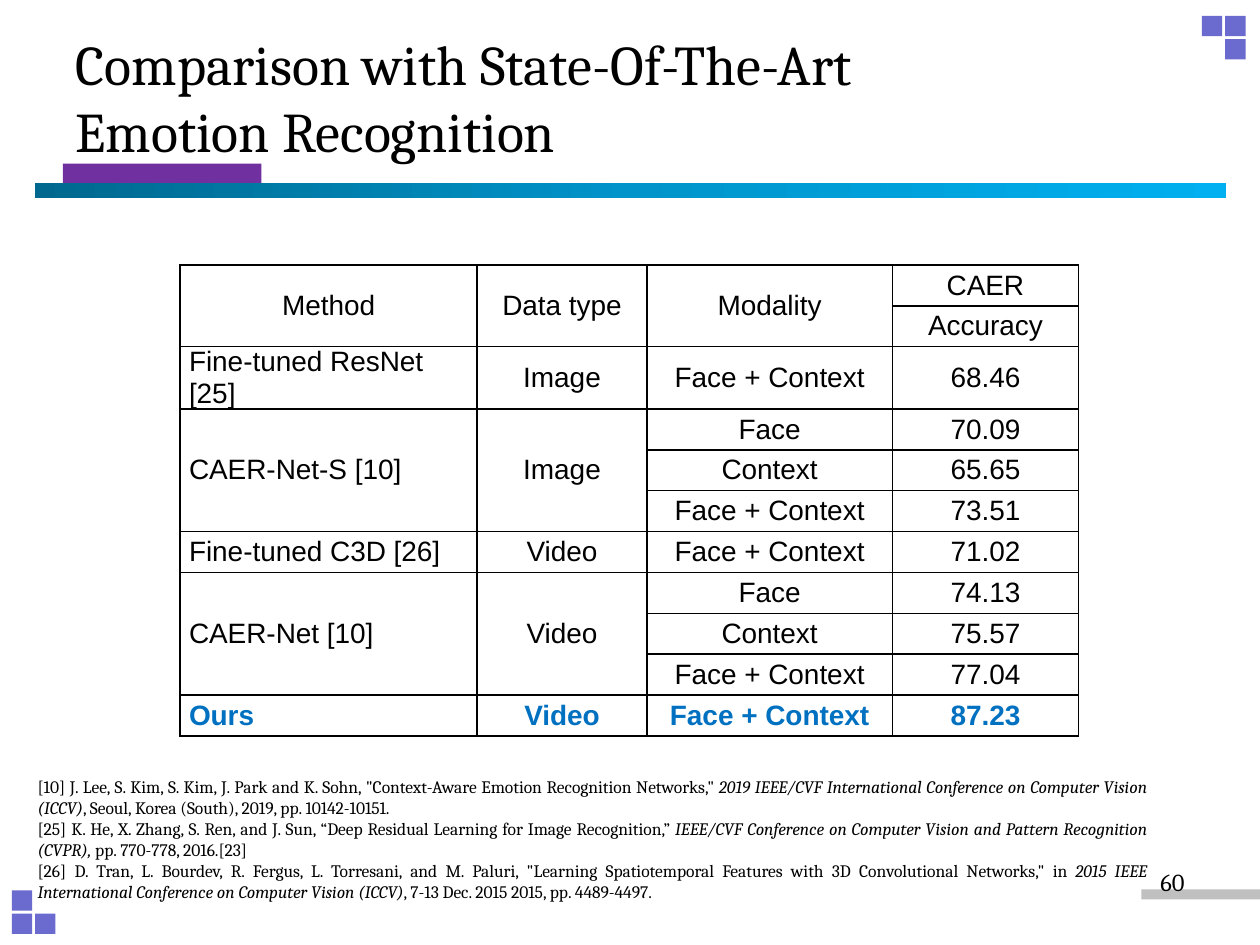
from copy import deepcopy

from pptx import Presentation
from pptx.dml.color import RGBColor
from pptx.enum.shapes import MSO_SHAPE
from pptx.enum.text import MSO_ANCHOR, MSO_AUTO_SIZE, PP_ALIGN
from pptx.oxml import parse_xml
from pptx.oxml.ns import nsdecls, qn
from pptx.util import Cm, Pt

BLACK = RGBColor(0x00, 0x00, 0x00)
HIGHLIGHT = RGBColor(0x00, 0x70, 0xC0)
PURPLE = RGBColor(0x70, 0x30, 0xA0)
VIOLET = RGBColor(0x6B, 0x6B, 0xCF)
GRAY = RGBColor(0xC0, 0xC0, 0xC0)
BAR_COLORS = [RGBColor(0x00, 0x68, 0x8E), RGBColor(0x00, 0x94, 0xCA), RGBColor(0x00, 0xB0, 0xF0)]

TITLE_LINES = ["Comparison with State-Of-The-Art", "Emotion Recognition"]
PAGE_NUMBER = "60"

COLUMN_WIDTHS = [5.99, 3.42, 4.95, 3.75]
TABLE_HEIGHT = 9.07
# None continues the cell above
ROWS = [
    ("Method", "Data type", "Modality", "CAER"),
    (None, None, None, "Accuracy"),
    ("Fine-tuned ResNet [25]", "Image", "Face + Context", "68.46"),
    ("CAER-Net-S [10]", "Image", "Face", "70.09"),
    (None, None, "Context", "65.65"),
    (None, None, "Face + Context", "73.51"),
    ("Fine-tuned C3D [26]", "Video", "Face + Context", "71.02"),
    ("CAER-Net [10]", "Video", "Face", "74.13"),
    (None, None, "Context", "75.57"),
    (None, None, "Face + Context", "77.04"),
    ("Ours", "Video", "Face + Context", "87.23"),
]

# Before the venue, the venue in italics, after the venue
REFERENCES = [
    ('[10] J. Lee, S. Kim, S. Kim, J. Park and K. Sohn, "Context-Aware Emotion Recognition Networks," ',
     "2019 IEEE/CVF International Conference on Computer Vision (ICCV)",
     ", Seoul, Korea (South), 2019, pp. 10142-10151."),
    ("[25] K. He, X. Zhang, S. Ren, and J. Sun, “Deep Residual Learning for Image Recognition,” ",
     "IEEE/CVF Conference on Computer Vision and Pattern Recognition (CVPR), ",
     "pp. 770-778, 2016.[23]"),
    ("[26] D. Tran, L. Bourdev, R. Fergus, L. Torresani, and M. Paluri, "
     '"Learning Spatiotemporal Features with 3D Convolutional Networks," in ',
     "2015 IEEE International Conference on Computer Vision (ICCV)",
     ", 7-13 Dec. 2015 2015, pp. 4489-4497."),
]

SQUARE, SQUARE_STEP = 0.41, 0.47
# Left, top of each 2 x 2 cluster and its filled (column, row) places
CLUSTERS = [
    (24.23, 0.32, [(0, 0), (1, 0), (1, 1)]),
    (0.24, 17.95, [(0, 0), (0, 1), (1, 1)]),
]


def set_font(paragraph, name, size, color=BLACK):
    paragraph.font.name = name
    paragraph.font.size = Pt(size)
    paragraph.font.color.rgb = color


def add_bar(slide, left, top, width, height, color):
    bar = slide.shapes.add_shape(MSO_SHAPE.RECTANGLE, Cm(left), Cm(top), Cm(width), Cm(height))
    bar.shadow.inherit = False
    bar.line.fill.background()
    bar.fill.solid()
    bar.fill.fore_color.rgb = color
    return bar


def add_decoration(slide):
    add_bar(slide, 23.01, 17.93, 2.39, 0.2, GRAY)
    add_bar(slide, 1.27, 3.3, 4, 0.41, PURPLE)
    for left, top, places in CLUSTERS:
        for column, row in places:
            add_bar(slide, left + column * SQUARE_STEP, top + row * SQUARE_STEP,
                    SQUARE, SQUARE, VIOLET)

    rule = add_bar(slide, 0.71, 3.69, 24, 0.3, BAR_COLORS[0])
    rule.fill.gradient()
    rule.fill.gradient_angle = 0
    stop_list = next(rule._element.iter(qn("a:gsLst")))
    stop_list.insert(1, deepcopy(stop_list[0]))
    for index, (stop, color) in enumerate(zip(rule.fill.gradient_stops, BAR_COLORS)):
        stop.position = index / 2
        stop.color.rgb = color


def add_title(slide):
    title = slide.shapes.title
    title.left, title.top, title.width, title.height = Cm(1.27), Cm(0.36), Cm(22.86), Cm(3.18)
    frame = title.text_frame
    frame.auto_size = MSO_AUTO_SIZE.NONE
    frame.vertical_anchor = MSO_ANCHOR.MIDDLE
    paragraph = frame.paragraphs[0]
    paragraph.alignment = PP_ALIGN.LEFT
    set_font(paragraph, "Cambria", 32)
    for index, line in enumerate(TITLE_LINES):
        if index:
            paragraph.add_line_break()
        paragraph.add_run().text = line


def add_borders(cell):
    properties = cell._tc.get_or_add_tcPr()
    for index, side in enumerate(("lnL", "lnR", "lnT", "lnB")):
        properties.insert(index, parse_xml(
            f'<a:{side} {nsdecls("a")} w="12700"><a:solidFill>'
            f'<a:srgbClr val="{BLACK}"/></a:solidFill></a:{side}>'))


def add_results(slide):
    table = slide.shapes.add_table(
        len(ROWS), len(COLUMN_WIDTHS), Cm(3.63), Cm(5.34),
        Cm(sum(COLUMN_WIDTHS)), Cm(TABLE_HEIGHT)).table
    table.first_row = table.horz_banding = False
    for column, width in zip(table.columns, COLUMN_WIDTHS):
        column.width = Cm(width)

    for r, row in enumerate(ROWS):
        for c, text in enumerate(row):
            cell = table.cell(r, c)
            cell.fill.background()
            add_borders(cell)
            cell.margin_left = cell.margin_right = Cm(0.18)
            cell.margin_top = cell.margin_bottom = 0
            cell.vertical_anchor = MSO_ANCHOR.MIDDLE
            paragraph = cell.text_frame.paragraphs[0]
            paragraph.alignment = PP_ALIGN.LEFT if c == 0 and r > 0 else PP_ALIGN.CENTER
            ours = r == len(ROWS) - 1
            set_font(paragraph, "Arial", 16, HIGHLIGHT if ours else BLACK)
            paragraph.font.bold = ours
            if text is None:
                continue
            paragraph.add_run().text = text
            last = r
            while last + 1 < len(ROWS) and ROWS[last + 1][c] is None:
                last += 1
            if last > r:
                cell.merge(table.cell(last, c))


def add_references(slide):
    frame = slide.shapes.add_textbox(Cm(0.51), Cm(15.52), Cm(22.86), Cm(2.82)).text_frame
    frame.word_wrap = True
    for index, parts in enumerate(REFERENCES):
        paragraph = frame.add_paragraph() if index else frame.paragraphs[0]
        paragraph.alignment = PP_ALIGN.JUSTIFY
        set_font(paragraph, "Cambria", 10)
        for part, italic in zip(parts, (False, True, False)):
            run = paragraph.add_run()
            run.text = part
            run.font.italic = italic


def add_page_number(slide):
    frame = slide.shapes.add_textbox(Cm(18.21), Cm(17.35), Cm(5.92), Cm(1.32)).text_frame
    frame.word_wrap = True
    paragraph = frame.paragraphs[0]
    paragraph.text = PAGE_NUMBER
    paragraph.alignment = PP_ALIGN.RIGHT
    set_font(paragraph, "Cambria", 14)


def main():
    presentation = Presentation()
    presentation.slide_width, presentation.slide_height = Cm(25.4), Cm(19.05)
    slide = presentation.slides.add_slide(presentation.slide_layouts[5])
    add_decoration(slide)
    add_title(slide)
    add_results(slide)
    add_references(slide)
    add_page_number(slide)
    presentation.save("out.pptx")


if __name__ == "__main__":
    main()
